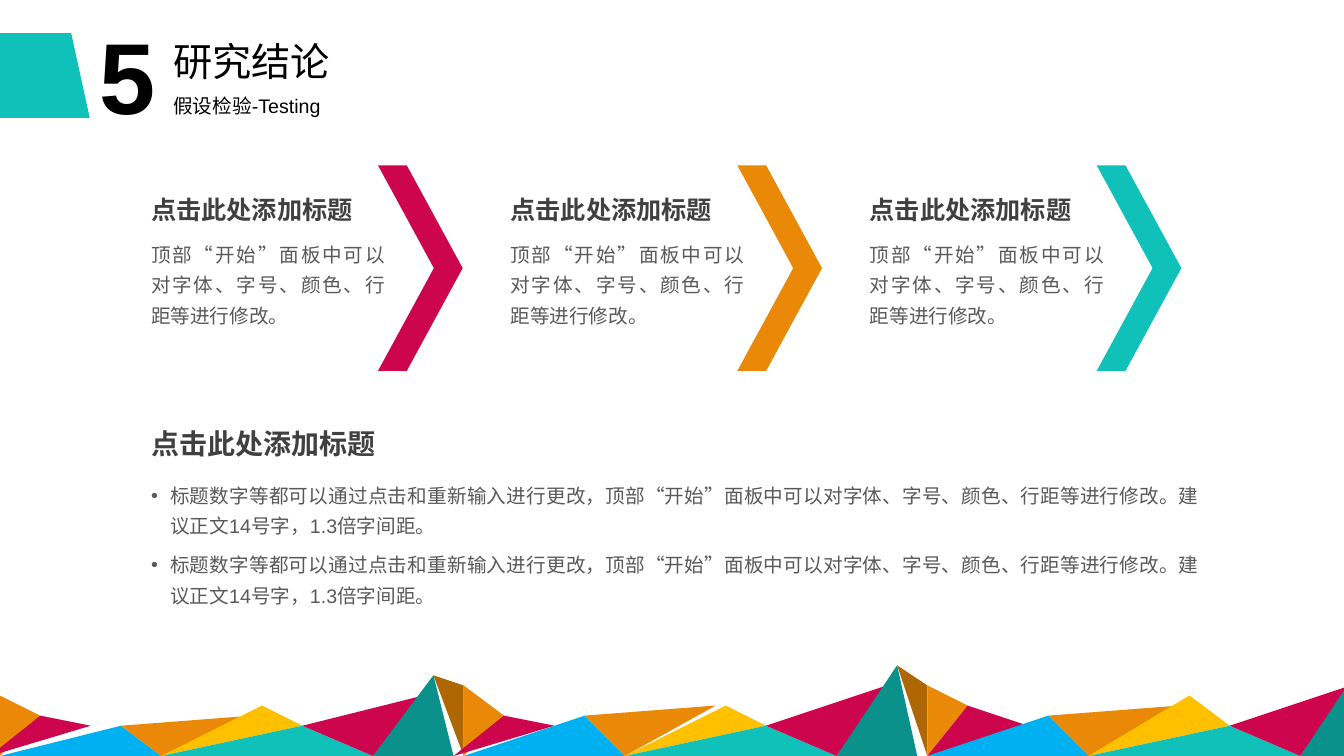
import pptx
import pptx.util
import pptx.dml.color
import pptx.enum.shapes
import pptx.enum.text
import lxml.etree
import pptx.oxml.ns

RGBColor = pptx.dml.color.RGBColor
MSO_SHAPE = pptx.enum.shapes.MSO_SHAPE
PP_ALIGN = pptx.enum.text.PP_ALIGN
TEAL = RGBColor(0x0F, 0xC1, 0xB9)
DARK_TEAL = RGBColor(0x0B, 0x91, 0x8B)
CRIMSON = RGBColor(0xCD, 0x05, 0x4C)
ORANGE = RGBColor(0xEA, 0x89, 0x08)
BROWN = RGBColor(0xAF, 0x67, 0x06)
YELLOW = RGBColor(0xFF, 0xC0, 0x00)
BLUE = RGBColor(0x00, 0xB0, 0xF0)
BLACK = RGBColor(0, 0, 0)
HEADING = RGBColor(0x40, 0x40, 0x40)
BODY = RGBColor(0x59, 0x59, 0x59)
CELL = pptx.util.Inches(0.1)

prs = pptx.Presentation()
prs.slide_width = int(133.33 * CELL)
prs.slide_height = 75 * CELL
s = prs.slides.add_slide(prs.slide_layouts[5])


def paint(sp, color):
    sp.shadow.inherit = False
    sp.fill.solid()
    sp.fill.fore_color.rgb = color
    sp.line.fill.background()


def write(sp, box, lines, size, color, bold=False, body=False, bullet=False):
    sp.left, sp.top, sp.width, sp.height = [int(n * CELL) for n in box]
    tf = sp.text_frame
    tf.word_wrap = True
    tf.auto_size = pptx.enum.text.MSO_AUTO_SIZE.SHAPE_TO_FIT_TEXT
    tf.vertical_anchor = pptx.enum.text.MSO_ANCHOR.TOP
    for i, line in enumerate(lines):
        p = tf.add_paragraph() if i else tf.paragraphs[0]
        p.alignment = PP_ALIGN.JUSTIFY if body else PP_ALIGN.LEFT
        p.space_before = pptx.util.Pt(6 if body else 0)
        p.line_spacing = 1.3 if body else 1.0
        if bullet:
            pPr = p._p.get_or_add_pPr()
            pPr.set("marL", str(int(1.9 * CELL)))
            pPr.set("indent", str(int(-1.9 * CELL)))
            bu_font = lxml.etree.SubElement(pPr, pptx.oxml.ns.qn("a:buFont"))
            bu_font.set("typeface", "Arial")
            bu = lxml.etree.SubElement(pPr, pptx.oxml.ns.qn("a:buChar"))
            bu.set("char", "•")
        r = p.add_run()
        r.text = line
        r.font.name = "Arial"
        r.font.size = pptx.util.Pt(size)
        r.font.bold = bold
        r.font.color.rgb = color


BASE = 75.2
PERIOD = 46.05
RANGE_HEIGHTS = [1, 1.08, 1.13]
FACETS = [
    (ORANGE, [(-0.5, 0), (-0.5, 6.65), (3.7, 4.3)]),
    (CRIMSON, [(-0.6, 0), (3.7, 4.3), (9.4, 3)]),
    (BLUE, [(-0.5, 0), (11.7, 3.7), (16.3, 0)]),
    (ORANGE, [(11.6, 3.7), (24.9, 4.4), (16.1, 0)]),
    (YELLOW, [(29.7, 2.7), (16.1, 0), (26.1, 5.1)]),
    (TEAL, [(37, 0), (16.3, 0), (29.8, 2.7)]),
    (CRIMSON, [(36.8, 0), (29.7, 2.7), (41.9, 6.6)]),
    (DARK_TEAL, [(45.4, 0), (36.7, 0), (43.3, 8.3)]),
    (BROWN, [(45.6, 7.1), (45.5, 0), (43.3, 8.3)]),
]
for k, height in enumerate(RANGE_HEIGHTS):
    for color, corners in FACETS:
        pts = [(x + k * PERIOD, BASE - h * height) for x, h in corners]
        if min(x for x, y in pts) * CELL < prs.slide_width:
            fb = s.shapes.build_freeform(*pts[0], scale=CELL)
            fb.add_line_segments(pts[1:], close=True)
            paint(fb.convert_to_shape(), color)

tab = s.shapes.add_shape(MSO_SHAPE.FLOWCHART_MANUAL_INPUT,
                         *[int(n * CELL) for n in (0.1, 2.9, 8.4, 9.2)])
tab.rotation = 90
paint(tab, TEAL)

write(s.shapes.title, (16.2, 3.2, 17.9, 5.7), ["研究结论"], 28, BLACK)

LEFT = 14
PITCH = 35.65
TITLE = "点击此处添加标题"
CARD = "顶部“开始”面板中可以对字体、字号、颜色、行距等进行修改。"
POINT = ("标题数字等都可以通过点击和重新输入进行更改，顶部“开始”面板中可以对字体、字号、"
         "颜色、行距等进行修改。建议正文14号字，1.3倍字间距。")
texts = [
    ((16.2, 8.8, 29.8, 3.4), ["假设检验-Testing"], 14, BLACK),
    ((8.9, 0.9, 14.6, 13.1), ["5"], 72, BLACK, True),
    ((LEFT, 41.8, 82.9, 4.4), [TITLE], 20, HEADING, True),
    ((LEFT, 46.8, 106, 14.1), [POINT, POINT], 14, BODY, False, True, True),
]
for i, color in enumerate([CRIMSON, ORANGE, TEAL]):
    x = LEFT + i * PITCH
    chevron = s.shapes.add_shape(MSO_SHAPE.CHEVRON,
                                 *[int(n * CELL) for n in (x + 23.5, 16.4, 8.4, 20.4)])
    chevron.adjustments[0] = 0.66
    paint(chevron, color)
    texts.append(((x, 22.9, 25.2, 10.2), [CARD], 14, BODY, False, True))
    texts.append(((x, 18.8, 25.2, 4), [TITLE], 18, HEADING, True))
for text in texts:
    write(s.shapes.add_textbox(0, 0, CELL, CELL), *text)

prs.save("out.pptx")
